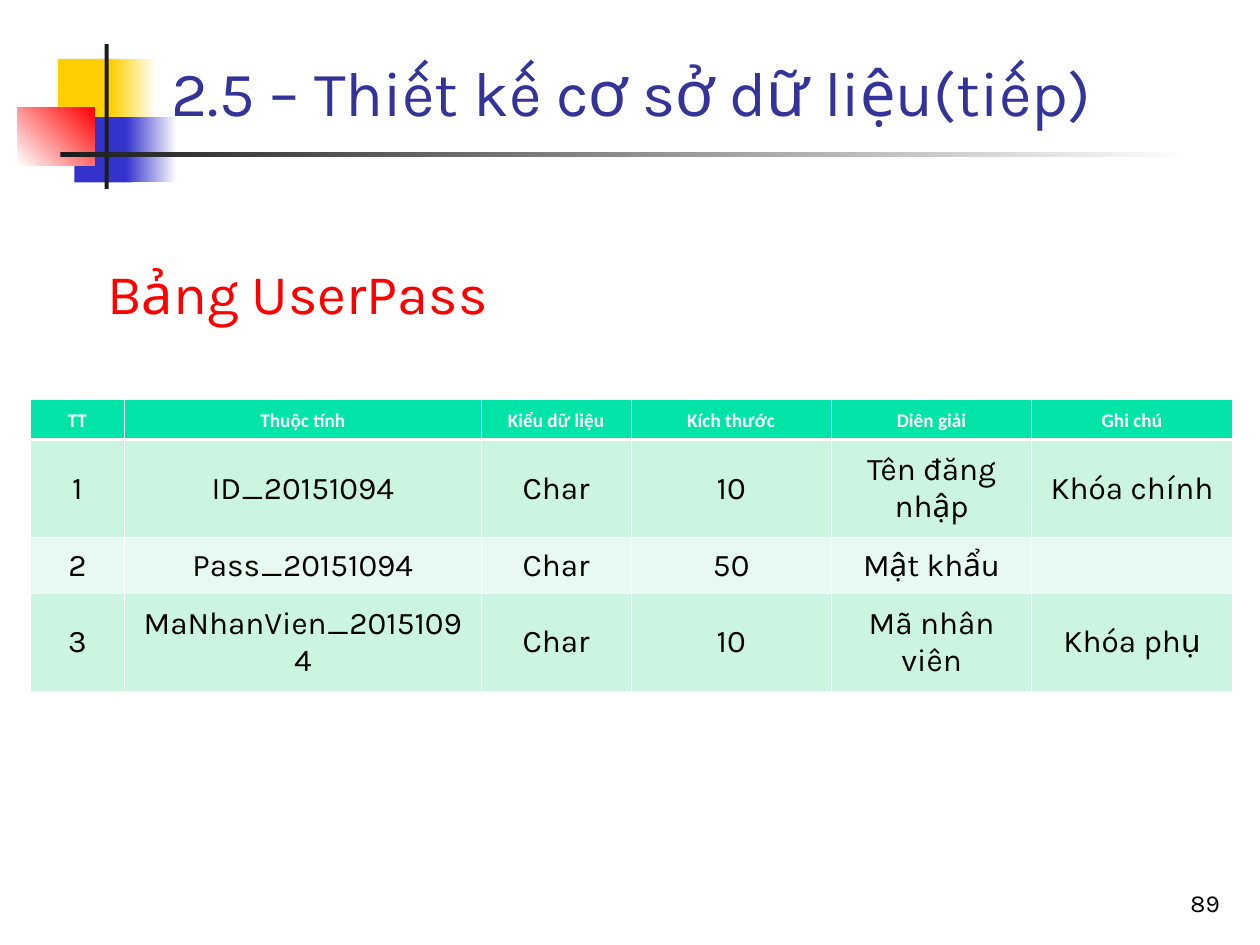
from lxml.etree import SubElement
from pptx import Presentation
from pptx.dml.color import RGBColor
from pptx.enum.shapes import MSO_SHAPE
from pptx.enum.text import MSO_ANCHOR, MSO_AUTO_SIZE, PP_ALIGN
from pptx.oxml.ns import qn
from pptx.util import Cm, Pt

WHITE, BLACK, YELLOW, BLUE, RED, DARK = (
    "FFFFFF", "000000", "FFCF01", "3333CC", "FF0000", "1C1C1C")
HEADER_FILL, BAND_FILLS = "00E4A8", ("CBF5E1", "E7FAF1")
THIN, THICK = 0.45, 1.47

# Left, top, width, height in cm; start colour, end colour, gradient angle
ORNAMENTS = [
    ((1.17, 1.19, 1.22, 1.32), YELLOW, None, 0),
    ((2.24, 1.19, 0.91, 1.32), YELLOW, WHITE, 0),
    ((1.5, 2.36, 1.17, 1.32), BLUE, None, 0),
    ((2.54, 2.36, 1.02, 1.32), BLUE, WHITE, 0),
    ((0.36, 2.16, 1.55, 1.17), WHITE, RED, 45),
    ((2.11, 0.89, 0.08, 2.92), DARK, None, 0),
    ((1.22, 3.07, 22.86, 0.1), DARK, WHITE, 0),
]

COLUMN_WIDTHS = [1.9, 7.19, 3.02, 4.04, 4.04, 4.04]
ROW_HEIGHTS = [0.56, 1.98, 1.12, 1.98]
ATTRIBUTES = [
    ["TT", "Thuộc tính", "Kiểu dữ liệu", "Kích thước", "Diên giải", "Ghi chú"],
    ["1", "ID_20151094", "Char", "10", "Tên đăng nhập", "Khóa chính"],
    ["2", "Pass_20151094", "Char", "50", "Mật khẩu", ""],
    ["3", "MaNhanVien_20151094", "Char", "10", "Mã nhân viên", "Khóa phụ"],
]


def rgb(color):
    return RGBColor.from_string(color)


def lengths(*values):
    return [Cm(value) for value in values]


def set_attributes(target, values):
    for name, value in values.items():
        setattr(target, name, value)


def paint(fill, color):
    fill.solid()
    fill.fore_color.rgb = rgb(color)


def write(frame, text, size, color, align=PP_ALIGN.LEFT, font="Karla",
          bold=False, spacing=1.0):
    frame.text = text
    paragraph = frame.paragraphs[0]
    set_attributes(paragraph, {"alignment": align, "line_spacing": spacing})
    set_attributes(paragraph.font, {"name": font, "size": Pt(size), "bold": bold})
    paragraph.font.color.rgb = rgb(color)


def add_rectangle(slide, box, color, end_color=None, angle=0):
    rectangle = slide.shapes.add_shape(MSO_SHAPE.RECTANGLE, *lengths(*box))
    rectangle.shadow.inherit = False
    rectangle.line.fill.background()
    if end_color is None:
        paint(rectangle.fill, color)
    else:
        rectangle.fill.gradient()
        rectangle.fill.gradient_angle = angle
        for stop, stop_color in zip(rectangle.fill.gradient_stops, (color, end_color)):
            stop.color.rgb = rgb(stop_color)
    return rectangle


def place_title(slide, text):
    title = slide.shapes.title
    left, top, width, height = lengths(3.2, 0.58, 21.64, 2.16)
    set_attributes(title, {"left": left, "top": top, "width": width, "height": height})
    set_attributes(title.text_frame, {"vertical_anchor": MSO_ANCHOR.BOTTOM,
                                      "auto_size": MSO_AUTO_SIZE.NONE})
    write(title.text_frame, text, 36, "333399")
    # Bring the title in front of the ornaments
    slide.shapes.element.append(title.element)


def add_borders(cell, widths):
    properties = cell._tc.get_or_add_tcPr()
    for position, (side, width) in enumerate(zip("LRTB", widths)):
        border = SubElement(properties, qn(f"a:ln{side}"), w=str(Pt(width)))
        fill = SubElement(border, qn("a:solidFill"))
        SubElement(fill, qn("a:srgbClr"), val=WHITE)
        properties.insert(position, border)  # borders precede the fill


def format_cell(cell, text, row):
    is_header = row == 0
    side = Cm(0.2 if is_header else 0.25)
    set_attributes(cell, {"vertical_anchor": MSO_ANCHOR.MIDDLE,
                          "margin_left": side, "margin_right": side,
                          "margin_top": Cm(0.13), "margin_bottom": Cm(0.13)})
    if is_header:
        paint(cell.fill, HEADER_FILL)
        write(cell.text_frame, text, 11, WHITE, PP_ALIGN.CENTER, "Calibri", True, 1.15)
    else:
        paint(cell.fill, BAND_FILLS[(row - 1) % 2])
        write(cell.text_frame, text, 18, BLACK, PP_ALIGN.CENTER)
    add_borders(cell, (THIN, THIN, THICK if row == 1 else THIN,
                       THICK if is_header else THIN))


def add_attribute_table(slide):
    box = lengths(0.61, 8.05, sum(COLUMN_WIDTHS), sum(ROW_HEIGHTS))
    table = slide.shapes.add_table(len(ROW_HEIGHTS), len(COLUMN_WIDTHS), *box).table
    for column, width in zip(table.columns, COLUMN_WIDTHS):
        column.width = Cm(width)
    for row, height in zip(table.rows, ROW_HEIGHTS):
        row.height = Cm(height)
    for row, texts in enumerate(ATTRIBUTES):
        for column, text in enumerate(texts):
            format_cell(table.cell(row, column), text, row)


def add_page_number(slide, number):
    page = slide.shapes.add_textbox(*lengths(19.56, 17.35, 5.28, 1.27)).text_frame
    set_attributes(page, {"word_wrap": True, "vertical_anchor": MSO_ANCHOR.BOTTOM})
    write(page, number, 14, BLACK, PP_ALIGN.RIGHT)


def add_table_heading(slide, text):
    heading = add_rectangle(slide, (1.91, 5.08, 10.16, 1.7), WHITE)
    paint(heading.line.fill, WHITE)
    heading.line.width = Pt(0.75)
    heading.text_frame.vertical_anchor = MSO_ANCHOR.TOP
    write(heading.text_frame, text, 32, RED)


def main():
    deck = Presentation()
    deck.slide_width, deck.slide_height = lengths(25.4, 19.05)
    slide = deck.slides.add_slide(deck.slide_layouts[5])

    # Coloured squares and rules behind the title
    for ornament in ORNAMENTS:
        add_rectangle(slide, *ornament)
    place_title(slide, "2.5 – Thiết kế cơ sở dữ liệu(tiếp)")

    # Table of attributes with its heading
    add_attribute_table(slide)
    add_page_number(slide, "89")
    add_table_heading(slide, "Bảng UserPass")

    deck.save("out.pptx")


if __name__ == "__main__":
    main()
